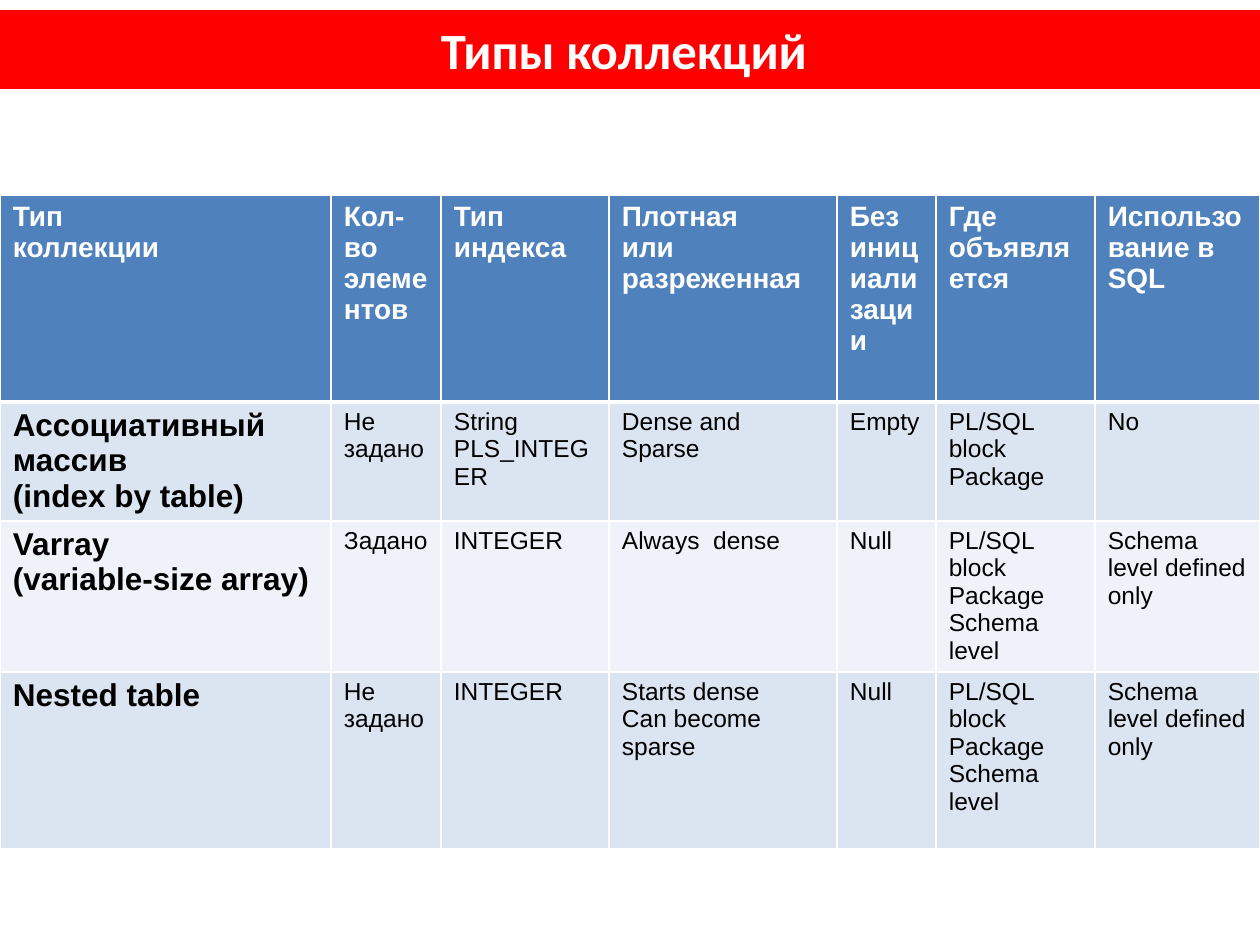
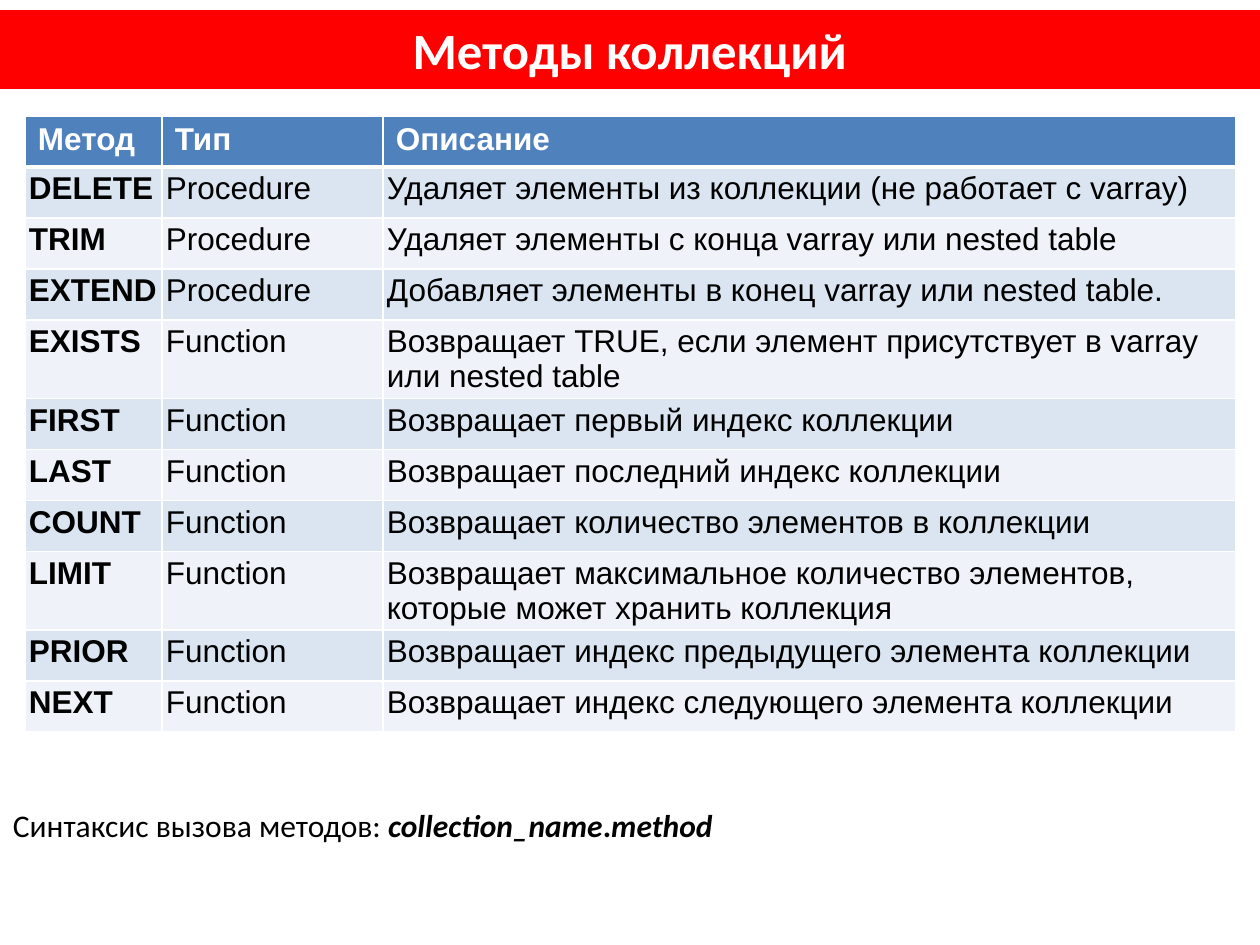
from lxml.etree import SubElement
from pptx import Presentation
from pptx.dml.color import RGBColor
from pptx.enum.shapes import MSO_SHAPE as Shape
from pptx.enum.text import MSO_ANCHOR as Anchor, PP_ALIGN as Align
from pptx.oxml.ns import qn
from pptx.util import Pt

PX = 914400 // 126
PAGE_WIDTH, PAGE_HEIGHT = 1260, 945

WHITE = RGBColor(0xFF, 0xFF, 0xFF)
BLACK = RGBColor(0x00, 0x00, 0x00)
RED = RGBColor(0xFF, 0x00, 0x00)
BLUE = RGBColor(0x4F, 0x81, 0xBD)
BANDS = (RGBColor(0xDB, 0xE5, 0xF1), RGBColor(0xEF, 0xF3, 0xF9))

WIDE_INSETS = (13, 6, 13, 6)
NARROW_INSETS = (4, 4, 4, 4)

TITLE_FORMAT = {"name": "Calibri", "size": Pt(29), "bold": True}
NOTE_FORMAT = {"name": "Calibri", "size": Pt(18)}

COLLECTION_TYPES = {
    "place": (0, 195),
    "columns": (331, 110, 168, 228, 99, 159, 165),
    "heights": (207, 119, 151, 177),
    "sizes": {"header": 16, "key": 18, "body": 14},
    "body_insets": WIDE_INSETS,
    "rows": [
        ("Тип\nколлекции", "Кол-во элементов", "Тип\nиндекса", "Плотная\nили разреженная",
         "Без инициализации", "Где\nобъявляется", "Использование в\nSQL"),
        ("Ассоциативный массив\n(index by table)", "Не задано", "String\nPLS_INTEGER",
         "Dense and Sparse", "Empty", "PL/SQL block\nPackage", "No"),
        ("Varray\n(variable-size array)", "Задано", "INTEGER", "Always  dense", "Null",
         "PL/SQL block\nPackage\nSchema level", "Schema level defined only"),
        ("Nested table", "Не задано", "INTEGER", "Starts dense\nCan become sparse", "Null",
         "PL/SQL block\nPackage\nSchema level", "Schema level defined only"),
    ],
}

LINE, TWO_LINES = 51, 78
METHODS = {
    "place": (25, 116),
    "columns": (137, 221, 853),
    "heights": (*[LINE] * 4, TWO_LINES, *[LINE] * 3, TWO_LINES, *[LINE] * 2),
    "sizes": {"header": 18, "key": 18, "body": 18},
    "body_insets": NARROW_INSETS,
    "rows": [
        ("Метод", "Тип", "Описание"),
        ("DELETE", "Procedure", "Удаляет элементы из коллекции (не работает с varray)"),
        ("TRIM", "Procedure", "Удаляет элементы с конца varray или nested table"),
        ("EXTEND", "Procedure", "Добавляет элементы в конец varray или nested table."),
        ("EXISTS", "Function",
         "Возвращает TRUE, если элемент присутствует в varray или nested table"),
        ("FIRST", "Function", "Возвращает первый индекс коллекции"),
        ("LAST", "Function", "Возвращает последний индекс коллекции"),
        ("COUNT", "Function", "Возвращает количество элементов в коллекции"),
        ("LIMIT", "Function",
         "Возвращает максимальное количество элементов, которые может хранить коллекция"),
        ("PRIOR", "Function", "Возвращает индекс предыдущего элемента коллекции"),
        ("NEXT", "Function", "Возвращает индекс следующего элемента коллекции"),
    ],
}

SYNTAX_NOTE = [
    ("Синтаксис вызова методов: ", {}),
    ("collection_name", {"bold": True, "italic": True}),
    (".", {"bold": True}),
    ("method", {"bold": True, "italic": True}),
]

SLIDES = [
    ("Типы коллекций\t", COLLECTION_TYPES, None),
    ("Методы коллекций", METHODS, SYNTAX_NOTE),
]


def scaled(*lengths):
    return [length * PX for length in lengths]


def set_margins(target, insets):
    for side, inset in zip(("left", "top", "right", "bottom"), scaled(*insets)):
        setattr(target, f"margin_{side}", inset)


def add_span(para, text, color, formats):
    span = para.add_run()
    span.text = text
    span.font.color.rgb = color
    for name, value in formats.items():
        setattr(span.font, name, value)


def add_title(page, text):
    band = page.shapes.add_shape(Shape.RECTANGLE, *scaled(0, 10, PAGE_WIDTH, 79))
    band.shadow.inherit = False
    band.fill.solid()
    band.fill.fore_color.rgb = RED
    band.line.fill.background()
    frame = band.text_frame
    frame.word_wrap = True
    frame.vertical_anchor = Anchor.MIDDLE
    set_margins(frame, WIDE_INSETS)
    para = frame.paragraphs[0]
    para.alignment = Align.CENTER
    add_span(para, text, WHITE, TITLE_FORMAT)


def add_borders(cell, top, bottom):
    properties = cell._tc.get_or_add_tcPr()
    for side, width in (("L", 1), ("R", 1), ("T", top), ("B", bottom)):
        border = SubElement(properties, qn(f"a:ln{side}"), w=str(Pt(width)))
        fill = SubElement(border, qn("a:solidFill"))
        SubElement(fill, qn("a:srgbClr"), val=str(WHITE))


def fill_cell(cell, text, row, column, content):
    header = row == 0
    role = "header" if header else "body" if column else "key"
    add_borders(cell, 3 if row == 1 else 1, 3 if header else 1)
    cell.fill.solid()
    cell.fill.fore_color.rgb = BLUE if header else BANDS[(row - 1) % 2]
    set_margins(cell, WIDE_INSETS if header else content["body_insets"])
    formats = {"name": "Arial", "size": Pt(content["sizes"][role]), "bold": role != "body"}
    frame = cell.text_frame
    for index, line in enumerate(text.split("\n")):
        para = frame.add_paragraph() if index else frame.paragraphs[0]
        add_span(para, line, WHITE if header else BLACK, formats)


def add_grid(page, content):
    rows, columns, heights = content["rows"], content["columns"], content["heights"]
    box = scaled(*content["place"], sum(columns), sum(heights))
    table = page.shapes.add_table(len(rows), len(columns), *box).table
    for column, width in zip(table.columns, scaled(*columns)):
        column.width = width
    for row, height in zip(table.rows, scaled(*heights)):
        row.height = height
    for row, texts in enumerate(rows):
        for column, text in enumerate(texts):
            fill_cell(table.cell(row, column), text, row, column, content)


def add_note(page, spans):
    frame = page.shapes.add_textbox(*scaled(0, 800, 733, 50)).text_frame
    frame.word_wrap = True
    set_margins(frame, WIDE_INSETS)
    for text, formats in spans:
        add_span(frame.paragraphs[0], text, BLACK, NOTE_FORMAT | formats)


def main():
    deck = Presentation()
    deck.slide_width, deck.slide_height = scaled(PAGE_WIDTH, PAGE_HEIGHT)
    for title, content, note in SLIDES:
        page = deck.slides.add_slide(deck.slide_layouts[6])
        add_title(page, title)
        add_grid(page, content)
        if note:
            add_note(page, note)
    deck.save("out.pptx")


if __name__ == "__main__":
    main()
